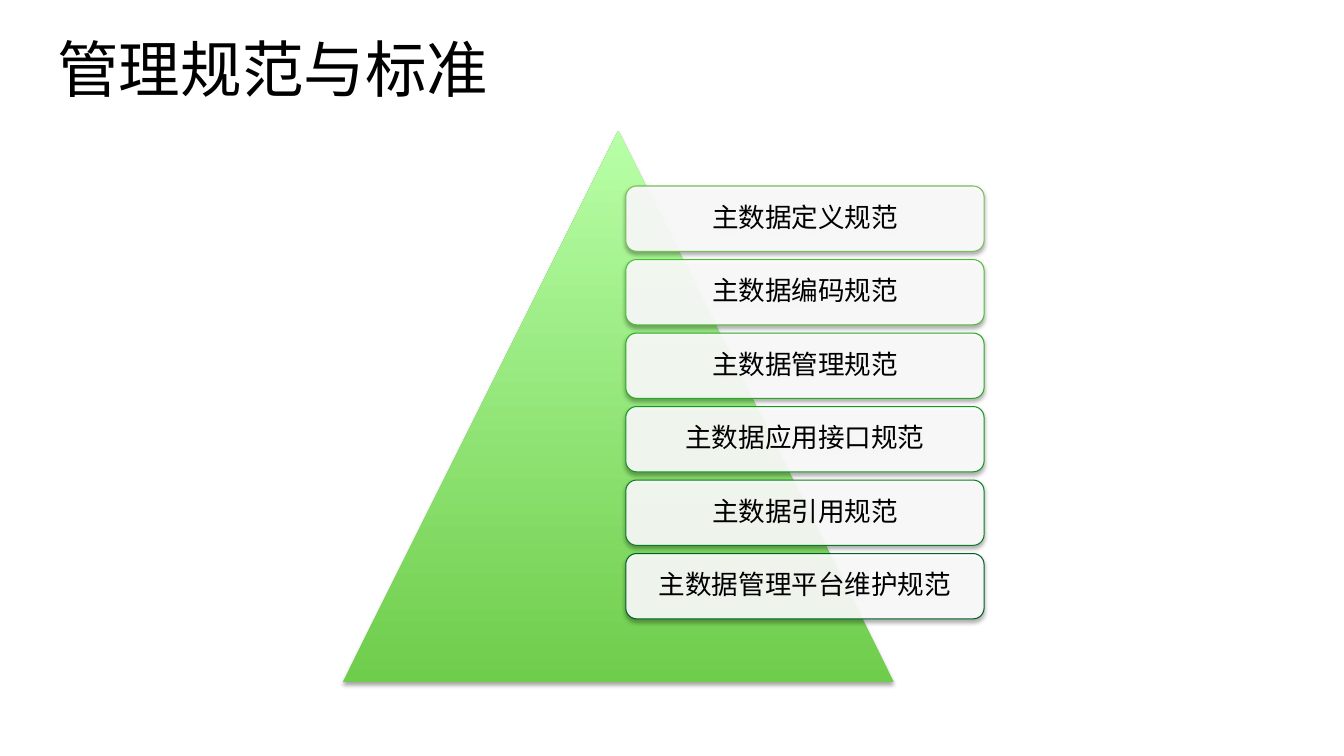
from dataclasses import dataclass

from lxml import etree
from pptx import Presentation
from pptx.dml.color import RGBColor
from pptx.enum.shapes import MSO_SHAPE
from pptx.enum.text import MSO_ANCHOR, MSO_AUTO_SIZE, PP_ALIGN
from pptx.oxml.ns import qn
from pptx.util import Pt

TRIANGLE = MSO_SHAPE.ISOSCELES_TRIANGLE
ROUNDED = MSO_SHAPE.ROUNDED_RECTANGLE
TOP, MIDDLE = MSO_ANCHOR.TOP, MSO_ANCHOR.MIDDLE
LEFT, CENTER = PP_ALIGN.LEFT, PP_ALIGN.CENTER
NO_AUTOFIT = MSO_AUTO_SIZE.NONE
TITLE_ONLY = 5


@dataclass(frozen=True)
class Theme:
    ink: str = "000000"
    card: str = "FFFFFF"
    card_opacity: int = 90
    shadow_opacity: int = 35
    pyramid: tuple = ("6FCD4C", "B8FFA7")
    title_font: str = "Calibri"
    card_font: str = "Noto Sans CJK SC"
    title_size: float = 44
    card_size: float = 19
    line_spacing: float = 0.9


STANDARDS = [
    ("主数据定义规范", "76BE5B"),
    ("主数据编码规范", "4ABD37"),
    ("主数据管理规范", "25AC23"),
    ("主数据应用接口规范", "139723"),
    ("主数据引用规范", "087D25"),
    ("主数据管理平台维护规范", "006025"),
]


def rgb(value):
    return RGBColor.from_string(value)


def add_alpha(color, percent):
    etree.SubElement(color, qn("a:alpha"), val=str(percent * 1000))


class SlideBuilder:
    def __init__(self, deck, theme):
        self.theme = theme
        self.slide = deck.slides.add_slide(deck.slide_layouts[TITLE_ONLY])

    def set_text(self, shape, text, font, size, align, anchor, margin):
        frame = shape.text_frame
        frame_format = {
            "word_wrap": True, "auto_size": NO_AUTOFIT,
            "vertical_anchor": anchor,
            "margin_left": Pt(margin), "margin_right": Pt(margin),
            "margin_top": Pt(margin), "margin_bottom": Pt(margin),
        }
        for name, value in frame_format.items():
            setattr(frame, name, value)
        para = frame.paragraphs[0]
        para.alignment = align
        para.line_spacing = self.theme.line_spacing
        span = para.add_run()
        span.text = text
        for name, value in {"name": font, "size": Pt(size), "bold": False}.items():
            setattr(span.font, name, value)
        span.font.color.rgb = rgb(self.theme.ink)
        latin = span.font._element.find(qn("a:latin"))
        east_asian = etree.Element(qn("a:ea"), typeface=font)
        latin.addnext(east_asian)

    def title(self, text, left, top, width, height):
        title = self.slide.shapes.title
        bounds = {"left": left, "top": top, "width": width, "height": height}
        for name, value in bounds.items():
            setattr(title, name, Pt(value))
        self.set_text(title, text, self.theme.title_font,
                      self.theme.title_size, LEFT, TOP, 0)

    def shadowed_shape(self, kind, left, top, width, height):
        shape = self.slide.shapes.add_shape(
            kind, Pt(left), Pt(top), Pt(width), Pt(height))
        shape.shadow.inherit = False
        effects = shape._element.spPr.find(qn("a:effectLst"))
        shadow = etree.SubElement(
            effects, qn("a:outerShdw"), blurRad=str(Pt(3.1)),
            dist=str(Pt(1.8)), dir="5400000", rotWithShape="0")
        color = etree.SubElement(shadow, qn("a:srgbClr"), val=self.theme.ink)
        add_alpha(color, self.theme.shadow_opacity)
        return shape

    def pyramid(self, left, top, side):
        shape = self.shadowed_shape(TRIANGLE, left, top, side, side)
        shape.line.fill.background()
        shape.fill.gradient()
        shape.fill.gradient_angle = 90
        for stop, color in zip(shape.fill.gradient_stops, self.theme.pyramid):
            stop.color.rgb = rgb(color)

    def card(self, text, line_color, left, top, width, height):
        card = self.shadowed_shape(ROUNDED, left, top, width, height)
        card.fill.solid()
        card.fill.fore_color.rgb = rgb(self.theme.card)
        color = card._element.spPr.find(qn("a:solidFill"))[0]
        add_alpha(color, self.theme.card_opacity)
        card.line.color.rgb = rgb(line_color)
        card.line.width = Pt(0.75)
        self.set_text(card, text, self.theme.card_font,
                      self.theme.card_size, CENTER, MIDDLE, 8)


def main():
    deck = Presentation()
    deck.slide_width, deck.slide_height = Pt(960), Pt(540)
    page = SlideBuilder(deck, Theme())
    page.title("管理规范与标准", 41, 28, 878, 40)

    side, card_height = 393.75, 46.67
    pitch = card_height * 9 / 8
    page.pyramid(244.8, 93.6, side)
    for index, (text, line_color) in enumerate(STANDARDS):
        page.card(text, line_color, 447, 132.9 + index * pitch,
                  side * 0.65, card_height)
    deck.save("out.pptx")


if __name__ == "__main__":
    main()
